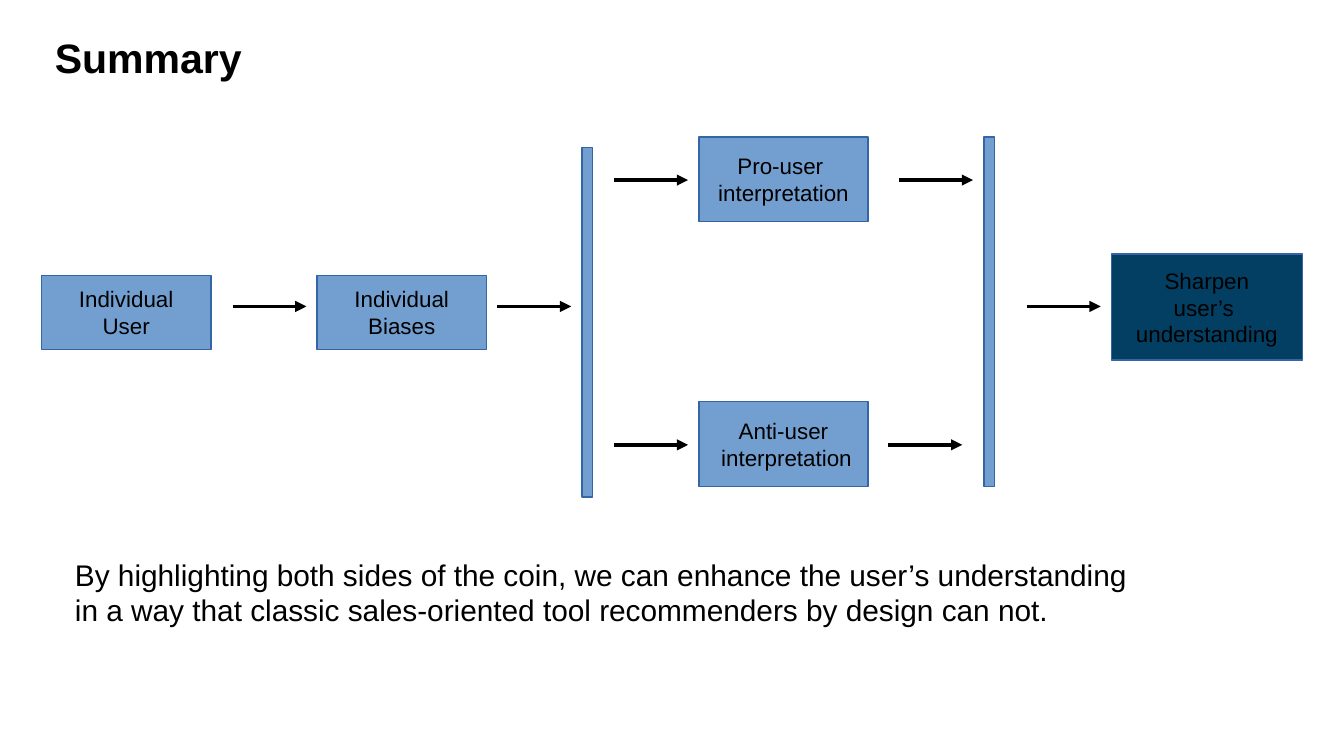
from lxml.etree import SubElement
from pptx import Presentation
from pptx.dml.color import RGBColor
from pptx.enum.shapes import MSO_CONNECTOR, MSO_SHAPE
from pptx.enum.text import MSO_ANCHOR, PP_ALIGN
from pptx.oxml.ns import qn
from pptx.util import Inches, Pt

BLACK = RGBColor(0x00, 0x00, 0x00)
BLUE = RGBColor(0x72, 0x9F, 0xCF)
NAVY = RGBColor(0x02, 0x3F, 0x62)
OUTLINE = RGBColor(0x34, 0x65, 0xA4)

HAIRLINE = Pt(0)
BAR_WIDTH, BAR_HEIGHT = 0.08, 2.6
ARROW_LENGTH = 0.55


def write_text(frame, text, size, bold=False, align=PP_ALIGN.LEFT):
    """Fill a text frame with one paragraph of black Arial."""
    para = frame.paragraphs[0]
    para.text = text
    para.alignment = align
    para.font.name = "Arial"
    para.font.size = Pt(size)
    para.font.bold = bold
    para.font.color.rgb = BLACK


def add_text(page, left, top, width, height, text, size, bold=False):
    """Add a wrapping text box."""
    box = page.shapes.add_textbox(Inches(left), Inches(top), Inches(width), Inches(height))
    box.text_frame.word_wrap = True
    write_text(box.text_frame, text, size, bold)


def add_block(page, left, top, width, height, text="", fill=BLUE):
    """Add an outlined rectangle with an optional centred label."""
    block = page.shapes.add_shape(
        MSO_SHAPE.RECTANGLE, Inches(left), Inches(top), Inches(width), Inches(height))
    block.shadow.inherit = False
    block.fill.solid()
    block.fill.fore_color.rgb = fill
    block.line.color.rgb = OUTLINE
    block.line.width = HAIRLINE
    if text:
        frame = block.text_frame
        frame.word_wrap = False
        frame.vertical_anchor = MSO_ANCHOR.MIDDLE
        write_text(frame, text, 12, align=PP_ALIGN.CENTER)


def add_arrow(page, left, top):
    """Add a short arrow pointing right."""
    arrow = page.shapes.add_connector(
        MSO_CONNECTOR.STRAIGHT, Inches(left), Inches(top),
        Inches(left + ARROW_LENGTH), Inches(top))
    arrow.line.color.rgb = BLACK
    arrow.line.width = HAIRLINE
    SubElement(arrow.line._get_or_add_ln(), qn("a:tailEnd"), type="triangle")
    SubElement(arrow._element.spPr, qn("a:effectLst"))


def add_inputs(page, left, top):
    """Place the user and bias blocks, each followed by an arrow."""
    steps = [("Individual\nUser", 0, 1.42), ("Individual\nBiases", 2.05, 3.39)]
    for label, block_left, arrow_left in steps:
        add_block(page, left + block_left, top, 1.26, 0.55, label)
        add_arrow(page, left + arrow_left, top + 0.23)


def add_interpretations(page, left, top):
    """Place the two parallel interpretations between their bars."""
    add_block(page, left, top + 0.08, BAR_WIDTH, BAR_HEIGHT)
    add_block(page, left + 2.99, top, BAR_WIDTH, BAR_HEIGHT)
    branches = [("Pro-user \ninterpretation", 0, 2.36),
                ("Anti-user\n interpretation", 1.97, 2.28)]
    for label, offset, exit_left in branches:
        add_block(page, left + 0.87, top + offset, 1.26, 0.63, label)
        for arrow_left in (0.24, exit_left):
            add_arrow(page, left + arrow_left, top + offset + 0.32)


def add_outcome(page, left, top):
    """Place the last arrow and the dark outcome block."""
    add_arrow(page, left, top + 0.39)
    add_block(page, left + 0.63, top, 1.42, 0.79, "Sharpen\nuser’s \nunderstanding", NAVY)


def main():
    """Build and save the summary slide."""
    deck = Presentation()
    deck.slide_width = Inches(10)
    deck.slide_height = deck.slide_width * 9 // 16
    page = deck.slides.add_slide(deck.slide_layouts[6])
    add_text(page, 0.31, 0.19, 3.85, 0.44, "Summary", 22, bold=True)
    add_inputs(page, 0.31, 2.05)
    add_interpretations(page, 4.33, 1.02)
    add_outcome(page, 7.64, 1.89)
    add_text(page, 0.46, 4.09, 8.04, 0.59,
             "By highlighting both sides of the coin, we can enhance the user’s understanding\n"
             "in a way that classic sales-oriented tool recommenders by design can not.", 16)
    deck.save("out.pptx")


if __name__ == "__main__":
    main()
